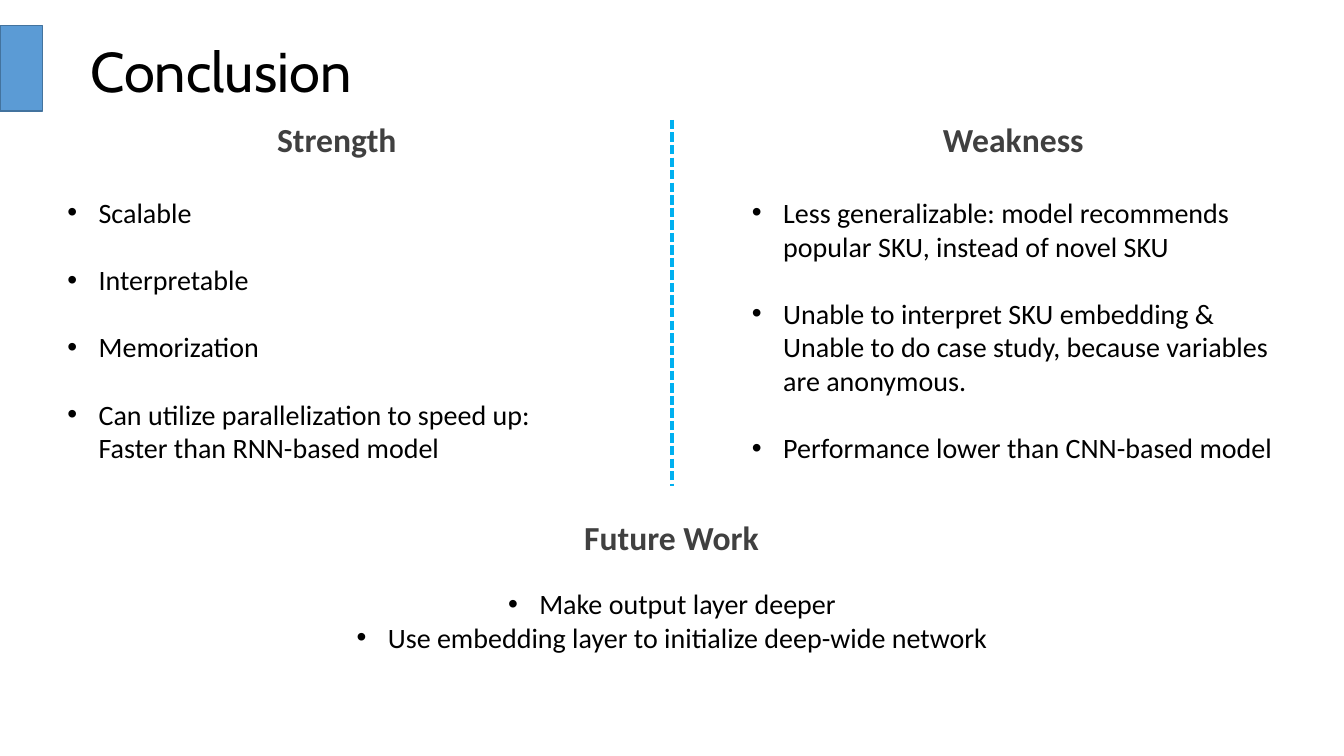
from lxml import etree
from pptx import Presentation
from pptx.dml.color import RGBColor
from pptx.enum.dml import MSO_LINE
from pptx.enum.shapes import MSO_CONNECTOR, MSO_SHAPE
from pptx.enum.text import MSO_ANCHOR, PP_ALIGN
from pptx.oxml.ns import qn
from pptx.util import Inches, Pt

LEFT, MID = PP_ALIGN.LEFT, PP_ALIGN.CENTER
TOP, CENTRE = MSO_ANCHOR.TOP, MSO_ANCHOR.MIDDLE
RECT, LINE, DASH = MSO_SHAPE.RECTANGLE, MSO_CONNECTOR.STRAIGHT, MSO_LINE.SQUARE_DOT

TITLE = "Conclusion"
SIDES = [
    ("Strength", [
        "Scalable",
        "Interpretable",
        "Memorization",
        "Can utilize parallelization to speed up: Faster than RNN-based model",
    ]),
    ("Weakness", [
        "Less generalizable: model recommends popular SKU, instead of novel SKU",
        "Unable to interpret SKU embedding & Unable to do case study, "
        "because variables are anonymous.",
        "Performance lower than CNN-based model",
    ]),
]
FUTURE = ("Future Work", [
    "Make output layer deeper",
    "Use embedding layer to initialize deep-wide network",
])
HUES = {"ink": "000000", "head": "404040", "tab": "5B9BD5",
        "edge": "43739E", "rule": "00B0F0"}

WIDE, HIGH = 13.33, 7.5
AXIS = WIDE / 2
LIST_W, HEAD_W, HEAD_H = 5.37, 2.82, 0.5
LIST_X, LIST_STEP = 0.57, 6.79
HEAD_X, HEAD_STEP = 1.93, 6.71
HEAD_Y, LIST_Y = 1.13, 1.89
INDENT = 0.31


def hue(name):
    return RGBColor.from_string(HUES[name])


def text(slide, box, lines, size, tone="ink", font="Calibri", bold=False,
         align=LEFT, anchor=TOP, wrap=True, gap=0, dots=False, lead=1.0):
    frame = slide.shapes.add_textbox(*map(Inches, box)).text_frame
    frame.text = "\n".join(lines)
    frame.word_wrap = wrap
    frame.vertical_anchor = anchor
    for para in frame.paragraphs:
        para.alignment = align
        para.line_spacing = lead
        para.space_before = para.space_after = Pt(gap)
        face = para.runs[0].font
        face.name, face.size, face.bold = font, Pt(size), bold
        face.color.rgb = hue(tone)
        if dots:
            props = para._p.get_or_add_pPr()
            props.set("marL", str(Inches(INDENT)))
            props.set("indent", str(-Inches(INDENT)))
            etree.SubElement(props, qn("a:buFont")).set("typeface", "Arial")
            etree.SubElement(props, qn("a:buChar")).set("char", "•")


def head(slide, box, label, wrap=True):
    text(slide, box, [label], 24, "head", bold=True, align=MID, wrap=wrap)


def main():
    deck = Presentation()
    deck.slide_width, deck.slide_height = Inches(WIDE), Inches(HIGH)
    slide = deck.slides.add_slide(deck.slide_layouts[6])

    text(slide, (0.8, 0.34, 4.91, 0.79), [TITLE], 40, font="Cabin",
         anchor=CENTRE, lead=0.9)

    tab = slide.shapes.add_shape(RECT, *map(Inches, (0, 0.25, 0.42, 0.85)))
    tab.shadow.inherit = False
    tab.fill.solid()
    tab.fill.fore_color.rgb = hue("tab")
    tab.line.color.rgb = hue("edge")
    tab.line.width = Pt(1)

    rule = slide.shapes.add_connector(
        LINE, *map(Inches, (AXIS, 1.19, AXIS, 4.82)))
    rule.line.color.rgb = hue("rule")
    rule.line.width = Pt(2.25)
    rule.line.dash_style = DASH
    etree.SubElement(rule._element.spPr, qn("a:effectLst"))

    for col, (label, points) in enumerate(SIDES):
        head(slide, (HEAD_X + col * HEAD_STEP, HEAD_Y, HEAD_W, HEAD_H), label)
        text(slide, (LIST_X + col * LIST_STEP, LIST_Y, LIST_W, 2.9),
             points, 20, gap=12, dots=True)

    label, points = FUTURE
    head(slide, (AXIS - 0.98, 5.08, 1.95, HEAD_H), label, wrap=False)
    text(slide, (AXIS - 3.26, 5.77, 6.52, 1.11), points, 20,
         align=MID, wrap=False, dots=True)

    deck.save("out.pptx")


if __name__ == "__main__":
    main()
